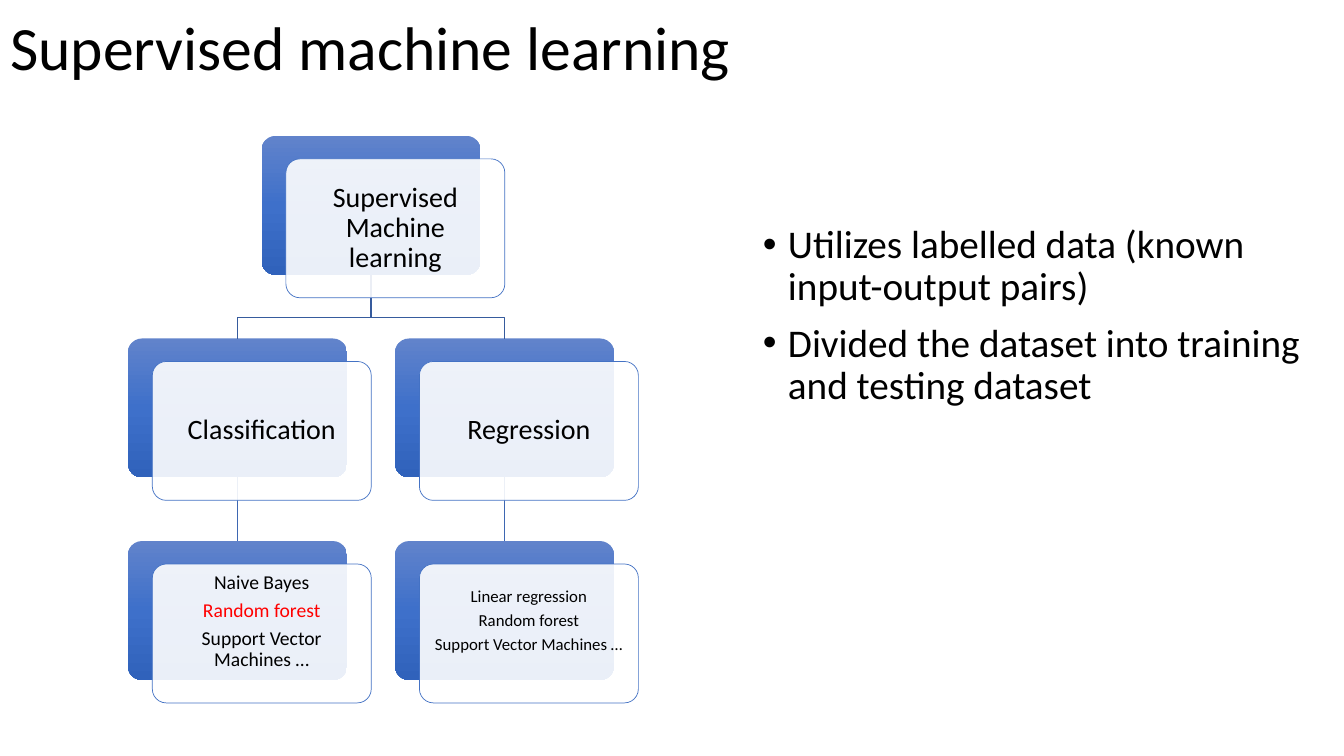
import copy

import pptx
import pptx.dml.color
import pptx.enum.shapes
import pptx.enum.text
import pptx.oxml
import pptx.oxml.ns
import pptx.util

Pt = pptx.util.Pt
RGBColor = pptx.dml.color.RGBColor
PP_ALIGN = pptx.enum.text.PP_ALIGN
ROUNDED = pptx.enum.shapes.MSO_SHAPE.ROUNDED_RECTANGLE

FONT = "Calibri"
BLACK = RGBColor(0x00, 0x00, 0x00)
WHITE = RGBColor(0xFF, 0xFF, 0xFF)
RED = RGBColor(0xFF, 0x00, 0x00)
CARD_LINE = RGBColor(0x44, 0x72, 0xC4)
ELBOW_LINE = RGBColor(0x36, 0x5B, 0x9D)
STRAIGHT_LINE = RGBColor(0x3E, 0x67, 0xB2)
GRADIENT = [(0, RGBColor(0x61, 0x83, 0xCB)),
            (0.5, RGBColor(0x3E, 0x70, 0xCA)),
            (1, RGBColor(0x30, 0x62, 0xBB))]

TITLE = "Supervised machine learning"
BULLETS = ["Utilizes labelled data (known input-output pairs)",
           "Divided the dataset into training and testing dataset"]
# name: (column, row, font size, side inset, bottom inset, [(text, colour)])
NODES = {
    "root": (0.5, 0, 20, 8.6, 8.6, [("Supervised Machine learning", BLACK)]),
    "classification": (0, 1, 20, 8.6, 8.6, [("Classification", BLACK)]),
    "regression": (1, 1, 20, 8.6, 8.6, [("Regression", BLACK)]),
    "classifiers": (0, 2, 14, 7.2, 24.5, [("Naive Bayes", BLACK), ("Random forest", RED),
                                          ("Support Vector Machines …", BLACK)]),
    "regressors": (1, 2, 12, 6.5, 23.8, [("Linear regression", BLACK), ("Random forest", BLACK),
                                         ("Support Vector Machines …", BLACK)]),
}
BRANCHES = ["classification", "regression"]
STRAIGHTS = [("classification", "classifiers"), ("regression", "regressors")]

TREE_LEFT, TREE_TOP = 91.4, 97.1
COLUMN_STEP, ROW_STEP = 190.8, 144.7
BOX_WIDTH, BOX_HEIGHT = 156.4, 99.2
CARD_SHIFT_X, CARD_SHIFT_Y = 17.4, 16.4
BEND_Y = 226.8


def add_text(paragraph, text, size, color, align):
    paragraph.alignment = align
    paragraph.line_spacing = 0.9
    run = paragraph.add_run()
    run.text = text
    run.font.name = FONT
    run.font.size = Pt(size)
    run.font.color.rgb = color


def next_paragraph(frame, index):
    return frame.paragraphs[0] if index == 0 else frame.add_paragraph()


def add_box(shapes, left, top):
    box = shapes.add_shape(ROUNDED, Pt(left), Pt(top), Pt(BOX_WIDTH), Pt(BOX_HEIGHT))
    box.adjustments[0] = 0.1
    box.shadow.inherit = False
    return box


def add_back(shapes, left, top):
    back = add_box(shapes, left, top)
    back.line.fill.background()
    back.fill.gradient()
    back.fill.gradient_angle = 270
    stop_list = back.fill._fill._gradFill.gsLst
    stop_list.append(copy.deepcopy(stop_list[0]))
    for stop, (position, color) in zip(back.fill.gradient_stops, GRADIENT):
        stop.position = position
        stop.color.rgb = color
    return back


def add_card(shapes, left, top, size, inset, bottom_inset, lines):
    card = add_box(shapes, left, top)
    card.fill.solid()
    card.fill.fore_color.rgb = WHITE
    color = card.fill._xPr.find(".//" + pptx.oxml.ns.qn("a:srgbClr"))
    color.append(pptx.oxml.parse_xml(
        f'<a:alpha {pptx.oxml.ns.nsdecls("a")} val="90000"/>'))
    card.line.color.rgb = CARD_LINE
    card.line.width = Pt(0.5)
    frame = card.text_frame
    frame.word_wrap = True
    frame.vertical_anchor = pptx.enum.text.MSO_ANCHOR.MIDDLE
    frame.margin_left = frame.margin_right = frame.margin_top = Pt(inset)
    frame.margin_bottom = Pt(bottom_inset)
    for index, (text, text_color) in enumerate(lines):
        paragraph = next_paragraph(frame, index)
        add_text(paragraph, text, size, text_color, PP_ALIGN.CENTER)
        paragraph.space_after = Pt(round(size * 0.35, 1))


def add_elbow(shapes, parent, child):
    """Draw an open stepped line from parent's bottom to child's top."""
    start_x = parent.left + parent.width // 2
    end_x = child.left + child.width // 2
    bend = Pt(BEND_Y)
    builder = shapes.build_freeform(start_x, parent.top + parent.height)
    builder.add_line_segments([(start_x, bend), (end_x, bend), (end_x, child.top)], close=False)
    elbow = builder.convert_to_shape()
    elbow.shadow.inherit = False
    elbow.fill.background()
    elbow.line.color.rgb = ELBOW_LINE
    elbow.line.width = Pt(1)


def add_straight(shapes, parent, child):
    connector = shapes.add_connector(pptx.enum.shapes.MSO_CONNECTOR.STRAIGHT, 0, 0, 0, 0)
    connector.begin_connect(parent, 2)
    connector.end_connect(child, 0)
    connector.line.color.rgb = STRAIGHT_LINE
    connector.line.width = Pt(1)
    connector._element.spPr.append(pptx.oxml.parse_xml(
        f'<a:effectLst {pptx.oxml.ns.nsdecls("a")}/>'))


def add_title(slide):
    title = slide.shapes.title
    title.left, title.top, title.width, title.height = Pt(0), Pt(0), Pt(828), Pt(72)
    title.text_frame.word_wrap = True
    title.text_frame.auto_size = pptx.enum.text.MSO_AUTO_SIZE.NONE
    title.text_frame.vertical_anchor = pptx.enum.text.MSO_ANCHOR.MIDDLE
    add_text(title.text_frame.paragraphs[0], TITLE, 44, BLACK, PP_ALIGN.LEFT)


def add_bullets(shapes):
    frame = shapes.add_textbox(Pt(537.8), Pt(157), Pt(412.6), Pt(348.5)).text_frame
    frame.word_wrap = True
    for index, text in enumerate(BULLETS):
        paragraph = next_paragraph(frame, index)
        add_text(paragraph, text, 28, BLACK, PP_ALIGN.LEFT)
        paragraph.space_before = Pt(10)
        properties = paragraph._p.get_or_add_pPr()
        properties.set("marL", str(Pt(18)))
        properties.set("indent", str(-Pt(18)))
        for tag, attribute in (("buFont", 'typeface="Arial"'), ("buChar", 'char="•"')):
            properties.append(pptx.oxml.parse_xml(
                f'<a:{tag} {pptx.oxml.ns.nsdecls("a")} {attribute}/>'))


def add_tree(shapes):
    corners = {name: (TREE_LEFT + node[0] * COLUMN_STEP, TREE_TOP + node[1] * ROW_STEP)
               for name, node in NODES.items()}
    backs = {name: add_back(shapes, *corner) for name, corner in corners.items()}
    for name in BRANCHES:
        add_elbow(shapes, backs["root"], backs[name])
    for parent, child in STRAIGHTS:
        add_straight(shapes, backs[parent], backs[child])
    for name, (left, top) in corners.items():
        add_card(shapes, left + CARD_SHIFT_X, top + CARD_SHIFT_Y, *NODES[name][2:])


def main():
    presentation = pptx.Presentation()
    presentation.slide_width, presentation.slide_height = Pt(960), Pt(540)
    slide = presentation.slides.add_slide(presentation.slide_layouts[5])
    add_title(slide)
    add_bullets(slide.shapes)
    add_tree(slide.shapes)
    presentation.save("out.pptx")


if __name__ == "__main__":
    main()
